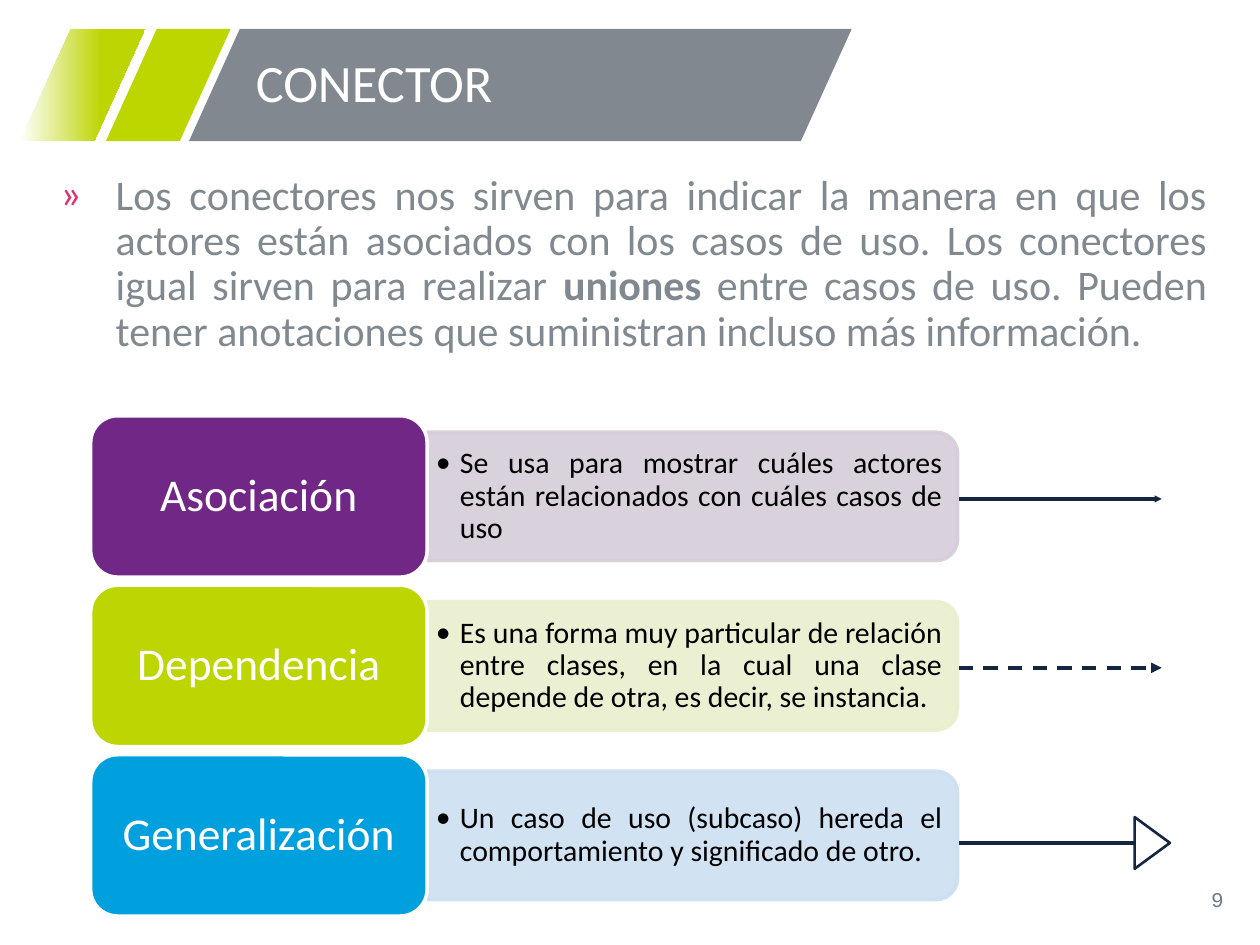
from lxml.etree import SubElement as Sub
from pptx import Presentation
from pptx.dml.color import RGBColor as RGB
from pptx.enum.dml import MSO_LINE as Dash
from pptx.enum.shapes import MSO_CONNECTOR as Conn, MSO_SHAPE as Kind
from pptx.enum.text import MSO_ANCHOR as Anchor, PP_ALIGN as Align
from pptx.oxml.ns import qn
from pptx.util import Inches as In, Pt

WHITE, BLACK = RGB(255, 255, 255), RGB(0, 0, 0)
LIME, GREEN = RGB(0xBE, 0xD6, 0x00), RGB(0xBD, 0xD5, 0x03)
SLATE, GRAY = RGB(0x81, 0x88, 0x8F), RGB(0x81, 0x89, 0x90)
NAVY, PINK = RGB(0x15, 0x26, 0x40), RGB(0xDE, 0x30, 0x75)
PURPLE, LILAC = RGB(0x70, 0x27, 0x85), RGB(0xD5, 0xCD, 0xD9)
BLUE, SKY = RGB(0x00, 0xA0, 0xDE), RGB(0xCC, 0xDF, 0xF2)
PALE, MIST = RGB(0xE8, 0xEF, 0xCC), RGB(0x6C, 0x7A, 0x8A)

# Content
TITLE = "CONECTOR"
INTRO = [
    ("Los conectores nos sirven para indicar la manera en que los actores "
     "están asociados con los casos de uso. Los conectores igual sirven "
     "para realizar ", False),
    ("uniones", True),
    (" entre casos de uso. Pueden tener anotaciones que suministran "
     "incluso más información.", False),
]
ROWS = [
    ("Asociación", "Se usa para mostrar cuáles actores están relacionados "
     "con cuáles casos de uso", PURPLE, LILAC),
    ("Dependencia", "Es una forma muy particular de relación entre clases, "
     "en la cual una clase depende de otra, es decir, se instancia.",
     GREEN, PALE),
    ("Generalización", "Un caso de uso (subcaso) hereda el comportamiento "
     "y significado de otro.", BLUE, SKY),
]
# Arrows: y, end x, dash, head size
ARROWS = [(3.96, 9.22, None, "sm"), (5.3, 9.22, Dash.DASH, "med"),
          (6.69, 9, None, None)]

# Grid
BAND = (0.23, 0.89)
TOP, STEP = 3.3, 1.345
LEFT, TAG_W, TAG_H = 0.72, 2.67, 1.28
NOTE_W, NOTE_H = 4.21, 1.02
EDGE = LEFT + TAG_W

deck = Presentation()
deck.slide_width, deck.slide_height = In(10), In(7.5)
slide = deck.slides.add_slide(deck.slide_layouts[5])
shapes = slide.shapes


def draw(kind, x, y, w, h, fill, line=None, pts=2):
    shape = shapes.add_shape(kind, In(x), In(y), In(w), In(h))
    shape.shadow.inherit = False
    shape.fill.solid()
    shape.fill.fore_color.rgb = fill
    if line is None:
        shape.line.fill.background()
    else:
        shape.line.color.rgb = line
        shape.line.width = Pt(pts)
    return shape


def box(x, y, w, h):
    return shapes.add_textbox(In(x), In(y), In(w), In(h))


def write(shape, runs, size, color, align, anchor=Anchor.MIDDLE,
          pad=(0.1, 0.05), bullet=None, font="Calibri"):
    frame = shape.text_frame
    frame.word_wrap = True
    frame.vertical_anchor = anchor
    frame.margin_left = frame.margin_right = In(pad[0])
    frame.margin_top = frame.margin_bottom = In(pad[1])
    para = frame.paragraphs[0]
    if bullet:
        mark, tint, indent, hang = bullet
        props = para._p.get_or_add_pPr()
        props.set("marL", str(In(indent)))
        props.set("indent", str(-In(hang)))
        Sub(Sub(props, qn("a:buClr")), qn("a:srgbClr"), val=str(tint))
        Sub(props, qn("a:buFont"), typeface="Calibri")
        Sub(props, qn("a:buChar"), char=mark)
    para.alignment = align
    para.line_spacing = 0.9
    para.font.name, para.font.size = font, Pt(size)
    para.font.color.rgb = color
    for text, bold in runs:
        run = para.add_run()
        run.text = text
        if bold:
            run.font.bold = True


def fade(shape):
    for color in shape.element.spPr.iter(qn("a:srgbClr")):
        Sub(color, qn("a:alpha"), val="90000")


# Banner
for x, w, fill in [(0.84, 0.99, LIME), (0.16, 0.99, GREEN),
                   (1.5, 5.26, SLATE)]:
    bar = draw(Kind.PARALLELOGRAM, x, BAND[0], w, BAND[1], fill)
    bar.adjustments[0] = 0.453
    if fill == GREEN:
        bar.fill.gradient()
        bar.fill.gradient_angle = 0
        for stop, (pos, tone) in zip(bar.fill.gradient_stops,
                                     [(0, WHITE), (0.65, GREEN)]):
            stop.position, stop.color.rgb = pos, tone

# Title, raised above the banner
title = shapes.title
title.left, title.top = In(1.93), In(BAND[0])
title.width, title.height = In(4.69), In(BAND[1])
write(title, [(TITLE, False)], 30, WHITE, Align.LEFT)
title.element.getparent().append(title.element)

# Introduction and page number
write(box(0.32, 1.33, 9.36, 2.12), INTRO, 24, GRAY, Align.JUSTIFY,
      Anchor.TOP, bullet=("»", PINK, 0.5, 0.44))
write(box(7.56, 6.95, 2.25, 0.4), [("9", False)], 12, MIST, Align.RIGHT,
      font="Courier New")

# Connector kinds: tag and note
for row, (name, note, dark, light) in enumerate(ROWS):
    y = TOP + row * STEP
    mid = y + TAG_H / 2
    panel = draw(Kind.ROUND_2_SAME_RECTANGLE,
                 EDGE + (NOTE_W - NOTE_H) / 2, mid - NOTE_W / 2,
                 NOTE_H, NOTE_W, light, light)
    panel.rotation = 90
    fade(panel)
    write(box(EDGE, mid - 0.46, 4.16, 0.92), [(note, False)], 17, BLACK,
          Align.JUSTIFY, pad=(0.07, 0.04), bullet=("•", BLACK, 0.19, 0.19))
    tag = draw(Kind.ROUNDED_RECTANGLE, LEFT, y, TAG_W, TAG_H, dark, WHITE)
    write(tag, [(name, False)], 26, WHITE, Align.CENTER)

# Arrows
for y, end, dash, head in ARROWS:
    arrow = shapes.add_connector(Conn.STRAIGHT, In(7.61), In(y),
                                 In(end), In(y))
    arrow.line.color.rgb, arrow.line.width = NAVY, Pt(2)
    if dash:
        arrow.line.dash_style = dash
    if head:
        Sub(arrow.line._get_or_add_ln(), qn("a:tailEnd"),
            type="triangle", w=head, len=head)
    Sub(arrow.element.spPr, qn("a:effectLst"))

# Hollow head of the last arrow
tip = draw(Kind.ISOSCELES_TRIANGLE, 8.94, 6.55, 0.41, 0.28, WHITE, NAVY, 1.5)
tip.rotation = 90

deck.save("out.pptx")
